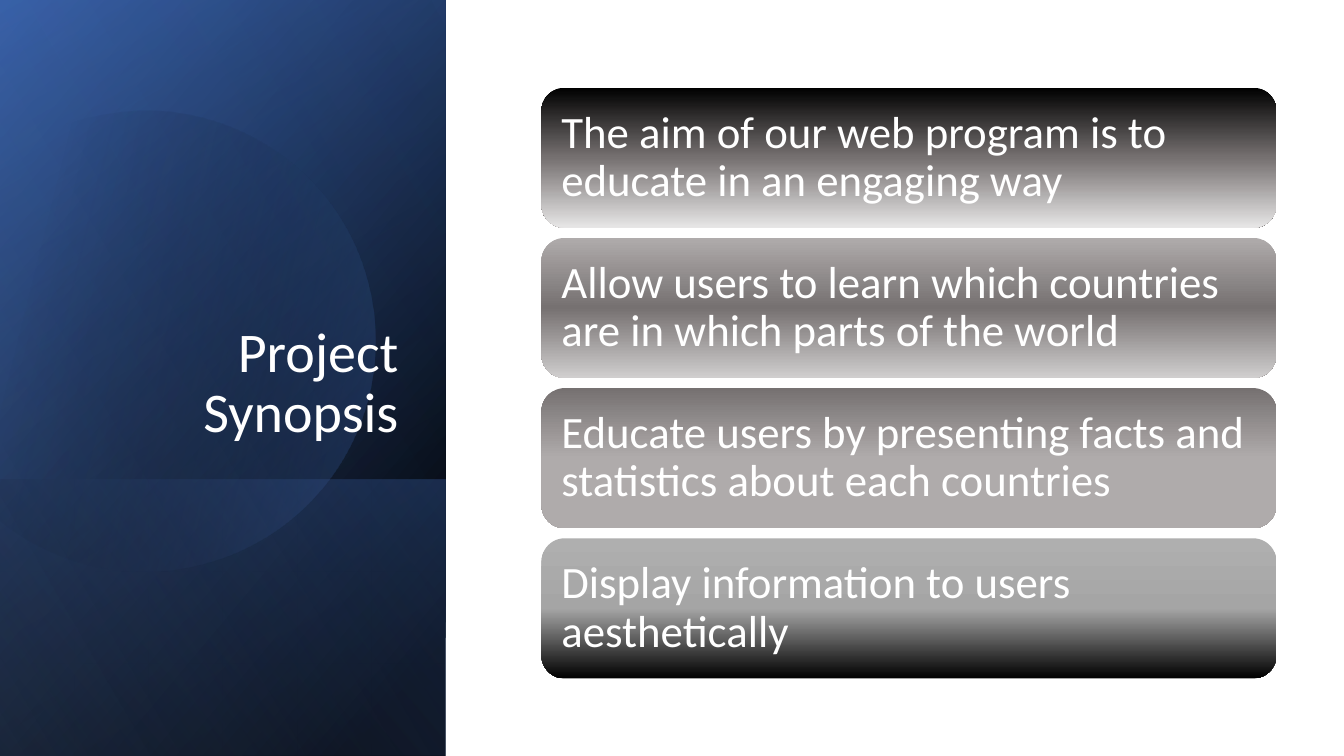
import math

from lxml import etree
from pptx import Presentation
from pptx import util as u
from pptx.dml.color import RGBColor
from pptx.enum import shapes, text
from pptx.oxml import ns

deck = Presentation()
deck.slide_width, deck.slide_height = u.Inches(13.33), u.Inches(7.5)
page = deck.slides.add_slide(deck.slide_layouts[6])
kit = page.shapes
H = 7.5
SIDE = 4.42


def shade(shape, stops, angle):
    """Fill with a gradient of (position, colour, opacity) stops, without outline."""
    shape.shadow.inherit = False
    shape.line.fill.background()
    shape.fill.background()
    grad = etree.Element(ns.qn("a:gradFill"), rotWithShape="1")
    row = etree.SubElement(grad, ns.qn("a:gsLst"))
    for pos, tone, alpha in stops:
        stop = etree.SubElement(row, ns.qn("a:gs"), pos=str(pos * 1000))
        color = etree.SubElement(stop, ns.qn("a:srgbClr"), val=tone)
        if alpha < 100:
            etree.SubElement(color, ns.qn("a:alpha"), val=str(alpha * 1000))
    etree.SubElement(grad, ns.qn("a:lin"), ang=str(angle * 60000), scaled="0")
    props = shape._element.spPr
    props.replace(props.find(ns.qn("a:noFill")), grad)


def write(shape, words, size, anchor, align, side, top):
    frame = shape.text_frame
    frame.word_wrap = True
    frame.vertical_anchor = anchor
    frame.margin_left = frame.margin_right = u.Inches(side)
    frame.margin_top = frame.margin_bottom = u.Inches(top)
    para = frame.paragraphs[0]
    para.alignment = align
    para.line_spacing = 0.9
    run = para.add_run()
    run.text = words
    run.font.size = u.Pt(size)
    run.font.name = "Calibri"
    run.font.color.rgb = RGBColor.from_string("FFFFFF")


# Side panel: turned layers standing on the bottom edge, with a disc below the last
layers = [
    (H, [(8, "000000", 100), (100, "2F5597", 100)], 50),
    (H, [(0, "000000", 0), (99, "4472C4", 46)], 30),
    (2.74, [(2, "4472C4", 29), (100, "000000", 30)], 130),
    (None, [(29, "000000", 0), (100, "4472C4", 43)], 30),
    (H, [(0, "000000", 0), (99, "8FAADC", 11)], 120),
]
# The disc's outline: three points make a curve, one makes a line
start = (1.49, 1.1)
parts = [
    [(2.46, 1.12), (3.35, 1.77), (3.63, 2.75)],
    [(3.98, 3.97), (3.28, 5.23), (2.07, 5.58)],
    [(1.31, 5.8), (0.53, 5.61), (-0.03, 5.14)],
    [(-0.15, 5.03)],
    [(-0.15, 1.75)],
    [(0, 1.61)],
    [(0.23, 1.42), (0.5, 1.28), (0.8, 1.19)],
    [(1.03, 1.13), (1.26, 1.1), start],
]
TURN = 343.9
MID = (1.585, 3.345)
sin, cos = math.sin(math.radians(-TURN)), math.cos(math.radians(-TURN))
dots = []
for x, y in [start] + sum(parts, []):
    x, y = x - MID[0], y - MID[1]
    dots.append((u.Inches(MID[0] + x * cos - y * sin),
                 u.Inches(MID[1] + x * sin + y * cos)))

for tall, stops, angle in layers:
    if tall:
        layer = kit.add_shape(
            shapes.MSO_SHAPE.RECTANGLE,
            u.Inches((SIDE - tall) / 2), u.Inches(H - (tall + SIDE) / 2),
            u.Inches(tall), u.Inches(SIDE))
        layer.rotation = 90
        layer._element.spPr.xfrm.set("flipH", "1")
    else:
        pen = kit.build_freeform(*dots[0])
        pen.add_line_segments(dots[1:], close=True)
        layer = pen.convert_to_shape()
        layer.rotation = TURN
        lines = iter(list(layer._element.iter(ns.qn("a:lnTo"))))
        for part in parts:
            group = [next(lines) for point in part]
            if len(group) == 3:
                curve = etree.Element(ns.qn("a:cubicBezTo"))
                group[0].addprevious(curve)
                for line in group:
                    curve.append(line[0])
                    line.getparent().remove(line)
    shade(layer, stops, angle)

title = kit.add_textbox(u.Inches(0.64), u.Inches(1.84), u.Inches(3.41), u.Inches(2.62))
write(title, "Project Synopsis", 40,
      text.MSO_ANCHOR.BOTTOM, text.PP_ALIGN.RIGHT, 0.1, 0.05)

# Cards
LEFT, TOP, WIDE, TALL, PITCH = 5.37, 0.87, 7.29, 1.39, 1.49
cards = [
    ("The aim of our web program is to educate in an engaging way",
     ["000000", "767171", "E7E6E6"]),
    ("Allow users to learn which countries are in which parts of the world",
     ["AFABAB", "767171", "D0CECE"]),
    ("Educate users by presenting facts and statistics about each countries",
     ["767171", "AFABAB", "AFABAB"]),
    ("Display information to users aesthetically",
     ["AFAFAF", "A5A5A5", "000000"]),
]
for row, (words, tones) in enumerate(cards):
    card = kit.add_shape(
        shapes.MSO_SHAPE.ROUNDED_RECTANGLE,
        u.Inches(LEFT), u.Inches(TOP + row * PITCH), u.Inches(WIDE), u.Inches(TALL))
    shade(card, [(50 * i, tone, 100) for i, tone in enumerate(tones)], 90)
    write(card, words, 32, text.MSO_ANCHOR.MIDDLE, text.PP_ALIGN.LEFT, 0.13, 0.13)

deck.save("out.pptx")
